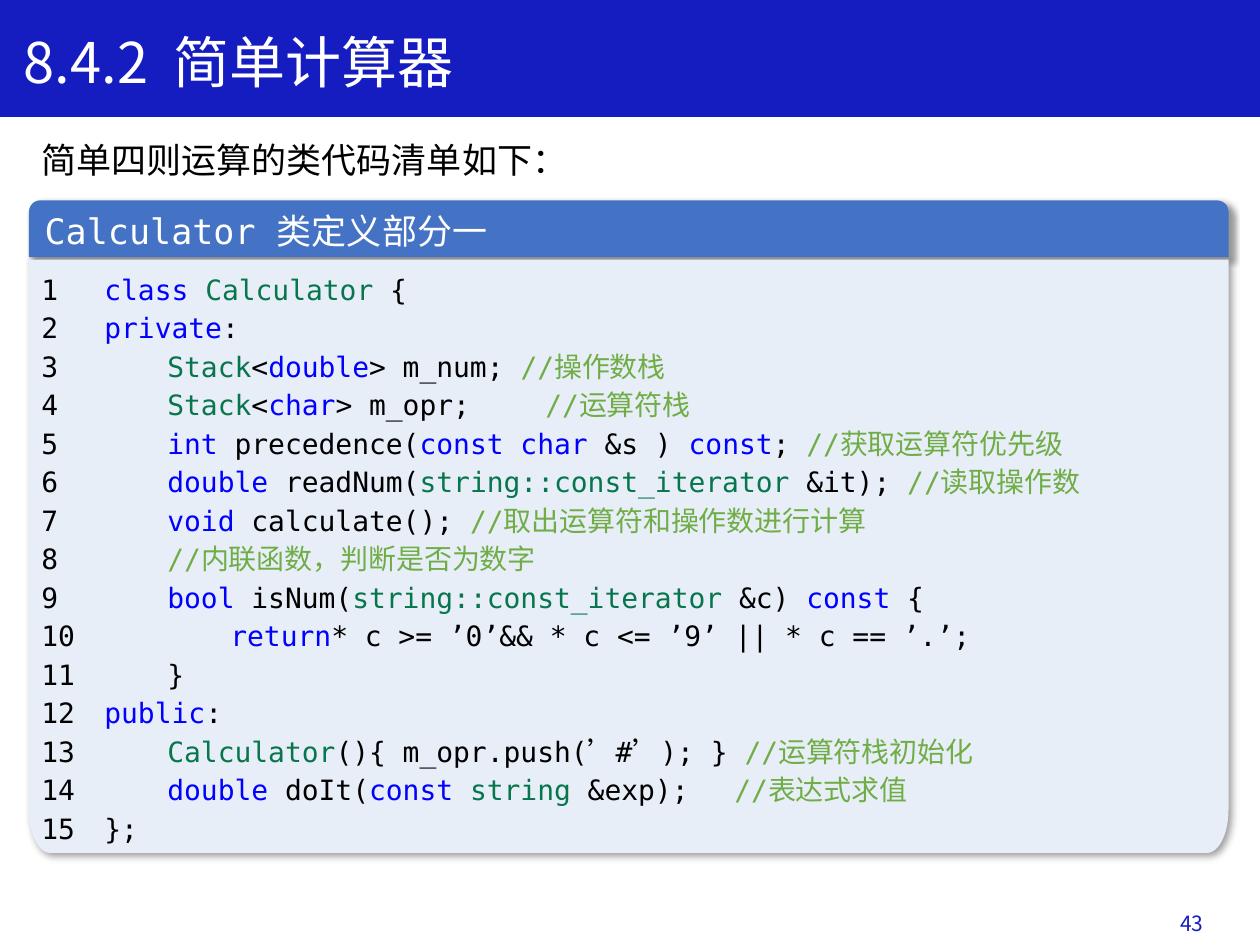
from dataclasses import dataclass
from math import cos, pi, sin

from lxml import etree
from pptx import Presentation
from pptx.dml.color import RGBColor
from pptx.enum.shapes import MSO_SHAPE
from pptx.enum.text import MSO_ANCHOR, MSO_AUTO_SIZE, PP_ALIGN
from pptx.oxml.ns import qn
from pptx.util import Inches, Pt

RECTANGLE = MSO_SHAPE.RECTANGLE
ROUND_TOP = MSO_SHAPE.ROUND_2_SAME_RECTANGLE
MIDDLE, TOP = MSO_ANCHOR.MIDDLE, MSO_ANCHOR.TOP
LEFT, RIGHT = PP_ALIGN.LEFT, PP_ALIGN.RIGHT
GROW = MSO_AUTO_SIZE.SHAPE_TO_FIT_TEXT


@dataclass(frozen=True)
class Theme:
    banner: str = "151DC1"
    header: str = "4472C4"
    panel: str = "E8EEF8"
    white: str = "FFFFFF"
    plain: str = "000000"
    keyword: str = "0000FF"
    type_name: str = "08764C"
    comment: str = "70AD47"
    sans: str = "Noto Sans CJK SC"
    mono: str = "DejaVu Sans Mono"
    title_size: int = 32
    body_size: int = 20
    code_size: int = 16
    number_size: int = 12
    code_spacing: int = 22


THEME = Theme()
PLAIN, KEYWORD, TYPE, COMMENT = THEME.plain, THEME.keyword, THEME.type_name, THEME.comment

CODE = [
    [("\tclass ", KEYWORD), ("Calculator", TYPE), (" {", PLAIN)],
    [("\tprivate", KEYWORD), (":", PLAIN)],
    [("\t\tStack", TYPE), ("<", PLAIN), ("double", KEYWORD), ("> m_num; ", PLAIN),
     ("//操作数栈", COMMENT)],
    [("\t\tStack", TYPE), ("<", PLAIN), ("char", KEYWORD), ("> m_opr; \t", PLAIN),
     ("//运算符栈", COMMENT)],
    [("\t\tint", KEYWORD), (" precedence(", PLAIN), ("const char", KEYWORD),
     (" &s ) ", PLAIN), ("const", KEYWORD), ("; ", PLAIN), ("//获取运算符优先级", COMMENT)],
    [("\t\tdouble ", KEYWORD), ("readNum(", PLAIN), ("string::const_iterator", TYPE),
     (" &it); ", PLAIN), ("//读取操作数", COMMENT)],
    [("\t\tvoid", KEYWORD), (" calculate(); ", PLAIN),
     ("//取出运算符和操作数进行计算", COMMENT)],
    [("\t\t//内联函数，判断是否为数字", COMMENT)],
    [("\t\tbool ", KEYWORD), ("isNum(", PLAIN), ("string::const_iterator ", TYPE),
     ("&c) ", PLAIN), ("const", KEYWORD), (" {", PLAIN)],
    [("\t\t\treturn", KEYWORD), ("* c >= ’0’&& * c <= ’9’ || * c == ’.’;", PLAIN)],
    [("\t\t}", PLAIN)],
    [("\tpublic", KEYWORD), (":", PLAIN)],
    [("\t\tCalculator", TYPE), ("(){ m_opr.push(’#’); } ", PLAIN),
     ("//运算符栈初始化", COMMENT)],
    [("\t\tdouble ", KEYWORD), ("doIt(", PLAIN), ("const ", KEYWORD), ("string", TYPE),
     (" &exp); \t", PLAIN), ("//表达式求值", COMMENT)],
    [("\t};", PLAIN)],
]


def paint(shape, color):
    shape.shadow.inherit = False
    shape.fill.solid()
    shape.fill.fore_color.rgb = RGBColor.from_string(color)
    shape.line.fill.background()


def add_shadow(shape):
    effects = shape._element.spPr.find(qn("a:effectLst"))
    shadow = etree.SubElement(effects, qn("a:outerShdw"), blurRad=str(Pt(4)),
                              dist=str(Pt(3)), dir=str(45 * 60000),
                              algn="tl", rotWithShape="0")
    color = etree.SubElement(shadow, qn("a:srgbClr"), val=THEME.plain)
    etree.SubElement(color, qn("a:alpha"), val="40000")


def add_run(paragraph, text, size, font, color):
    run = paragraph.add_run()
    run.text = text
    run.font.size = Pt(size)
    run.font.name = font
    run.font.color.rgb = RGBColor.from_string(color)
    east_asian = etree.Element(qn("a:ea"), typeface=THEME.sans)
    run.font._element.find(qn("a:latin")).addnext(east_asian)


def write_line(shape, text, size, font, color, align=LEFT, anchor=TOP):
    frame = shape.text_frame
    frame.word_wrap = True
    frame.vertical_anchor = anchor
    paragraph = frame.paragraphs[0]
    paragraph.alignment = align
    add_run(paragraph, text, size, font, color)
    return frame


def add_text(slide, box, text, size, color, **layout):
    shape = slide.shapes.add_textbox(*map(Inches, box))
    return write_line(shape, text, size, THEME.sans, color, **layout)


def add_banner(slide):
    banner = slide.shapes.add_shape(RECTANGLE, 0, 0, Inches(10), Inches(0.92))
    paint(banner, THEME.banner)
    banner.line.color.rgb = RGBColor.from_string(THEME.banner)
    banner.line.width = Pt(1)


def add_panel_header(slide, box, text):
    header = slide.shapes.add_shape(ROUND_TOP, *map(Inches, box))
    header.adjustments[0] = 0.2
    paint(header, THEME.header)
    add_shadow(header)
    write_line(header, text, THEME.body_size, THEME.mono, THEME.white, anchor=MIDDLE)


def panel_outline(left, top, width, height, radius_x=0.17, radius_y=0.34, steps=12):
    right, bottom = left + width, top + height
    angles = [pi / 2 * step / steps for step in range(steps + 1)]
    right_corner = [(right - radius_x * (1 - cos(angle)),
                     bottom - radius_y * (1 - sin(angle))) for angle in angles]
    left_corner = [(left + right - x, y) for x, y in reversed(right_corner)]
    return [(left, top), (right, top)] + right_corner + left_corner


def add_code_panel(slide, box, lines):
    start, *points = [(Inches(x), Inches(y)) for x, y in panel_outline(*box)]
    builder = slide.shapes.build_freeform(*start)
    builder.add_line_segments(points)
    panel = builder.convert_to_shape()
    paint(panel, THEME.panel)
    add_shadow(panel)
    frame = panel.text_frame
    frame.word_wrap = True
    frame.vertical_anchor = MIDDLE
    for number, pieces in enumerate(lines, 1):
        paragraph = frame.paragraphs[0] if number == 1 else frame.add_paragraph()
        paragraph.alignment = LEFT
        paragraph.line_spacing = Pt(THEME.code_spacing)
        for text, color in [(f"{number} ", PLAIN)] + pieces:
            add_run(paragraph, text, THEME.code_size, THEME.mono, color)


def main():
    presentation = Presentation()
    presentation.slide_width, presentation.slide_height = Inches(10), Inches(7.5)
    slide = presentation.slides.add_slide(presentation.slide_layouts[6])

    add_banner(slide)
    add_text(slide, (7.4, 7.13, 2.25, 0.4), "43", THEME.number_size, THEME.banner,
             align=RIGHT, anchor=MIDDLE)
    title = add_text(slide, (0.09, 0.17, 9.31, 0.64), "8.4.2  简单计算器",
                     THEME.title_size, THEME.white)
    intro = add_text(slide, (0.23, 1.05, 9.42, 0.44), "简单四则运算的类代码清单如下：",
                     THEME.body_size, THEME.plain)
    for frame in (title, intro):
        frame.auto_size = GROW

    add_panel_header(slide, (0.23, 1.59, 9.52, 0.45), "Calculator 类定义部分一")
    add_code_panel(slide, (0.23, 2.06, 9.52, 4.71), CODE)
    presentation.save("out.pptx")


if __name__ == "__main__":
    main()
